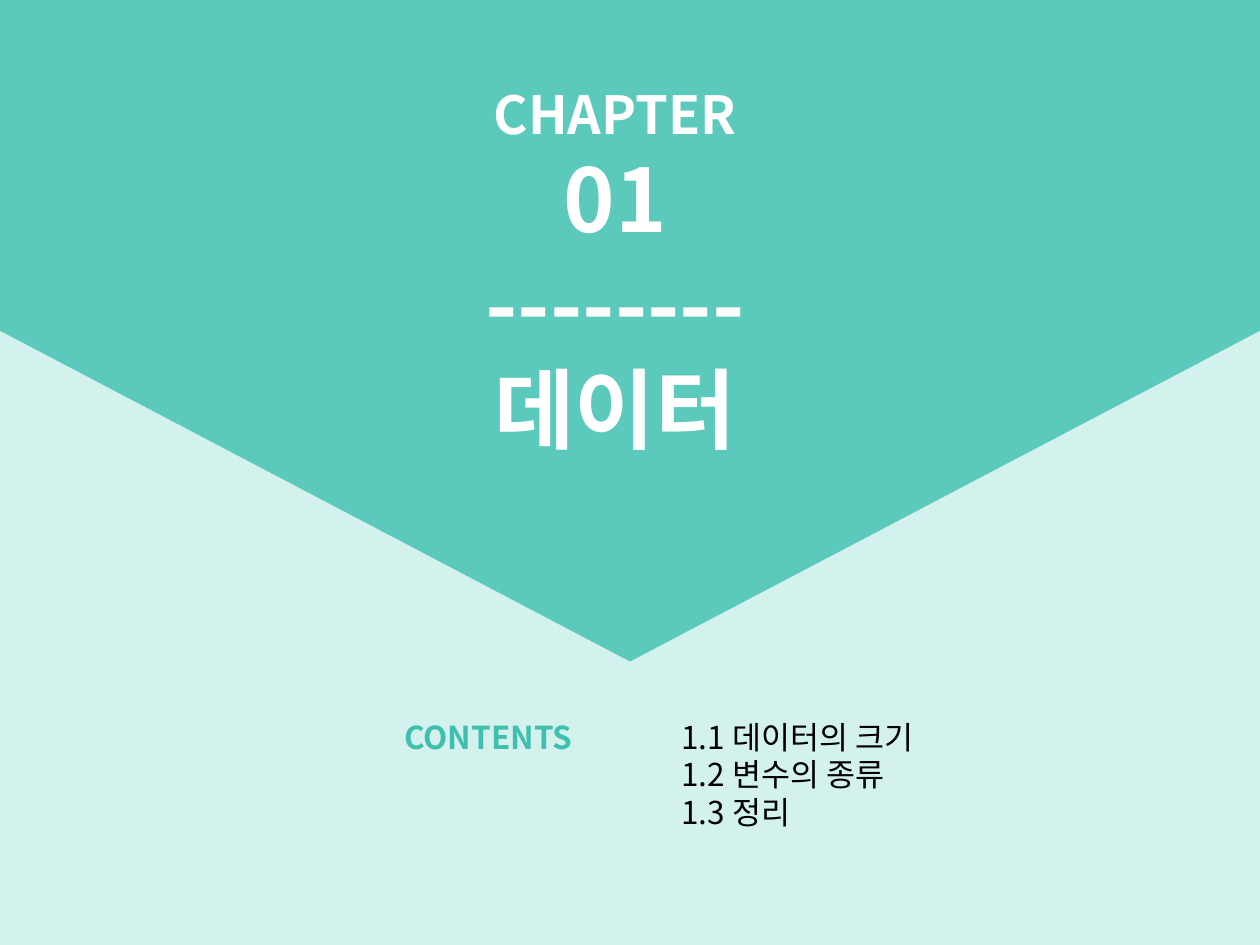
from lxml import etree
from pptx import Presentation
from pptx import util as u
from pptx.dml.color import RGBColor
from pptx.enum import shapes, text
from pptx.oxml.ns import qn

COLORS = {"pale": "D3F1ED", "teal": "5BC9BC", "accent": "3FBFB0",
          "white": "FFFFFF", "black": "000000"}
FONT = "Noto Sans CJK KR"
PAGE_W, PAGE_H = 25.4, 19.05


def add_block(page, kind, left, top, width, height, color):
    block = page.shapes.add_shape(kind, u.Cm(left), u.Cm(top), u.Cm(width), u.Cm(height))
    block.shadow.inherit = False
    block.fill.solid()
    block.fill.fore_color.rgb = RGBColor.from_string(COLORS[color])
    block.line.fill.background()
    return block


def add_text(page, left, top, width, height, lines, color, bold=False,
             align=text.PP_ALIGN.LEFT):
    """Add a text box; lines holds one (wording, size in points) per paragraph."""
    box = page.shapes.add_textbox(u.Cm(left), u.Cm(top), u.Cm(width), u.Cm(height))
    frame = box.text_frame
    frame.word_wrap = True
    frame.auto_size = text.MSO_AUTO_SIZE.SHAPE_TO_FIT_TEXT
    for index, (wording, size) in enumerate(lines):
        para = frame.add_paragraph() if index else frame.paragraphs[0]
        para.alignment = align
        span = para.add_run()
        span.text = wording
        span.font.size = u.Pt(size)
        span.font.bold = bold
        span.font.color.rgb = RGBColor.from_string(COLORS[color])
        span.font.name = FONT
        etree.SubElement(span.font._element, qn("a:ea")).set("typeface", FONT)


def add_backdrop(page, left, top, width, height):
    """Fill the box and point a banner down over its upper 70 percent."""
    add_block(page, shapes.MSO_SHAPE.RECTANGLE, left, top, width, height, "pale")
    depth = 0.7 * height
    # The banner is laid out sideways, then turned about its centre.
    banner = add_block(page, shapes.MSO_SHAPE.PENTAGON, left + (width - depth) / 2,
                       top + (depth - width) / 2, depth, width, "teal")
    banner.rotation = 90


def add_chapter_title(page, left, top, width, height):
    lines = [("CHAPTER", 30), ("01", 50), ("--------", 50), ("데이터", 50)]
    add_text(page, left, top, width, height, lines, "white", True,
             text.PP_ALIGN.CENTER)


def add_contents(page, left, top, width, height):
    sections = ["1.1 데이터의 크기", "1.2 변수의 종류", "1.3 정리"]
    list_offset = 5.59
    add_text(page, left + list_offset, top, width - list_offset, height,
             [(section, 18) for section in sections], "black")
    add_text(page, left, top, 4.4, 1.02, [("CONTENTS", 18)], "accent", True)


def main():
    deck = Presentation()
    deck.slide_width, deck.slide_height = u.Cm(PAGE_W), u.Cm(PAGE_H)
    page = deck.slides.add_slide(deck.slide_layouts[6])
    add_backdrop(page, 0, 0, PAGE_W, PAGE_H)
    add_chapter_title(page, 7.5, 1.52, 9.8, 7.95)
    add_contents(page, 7.9, 14.34, 14, 2.57)
    deck.save("out.pptx")


if __name__ == "__main__":
    main()
